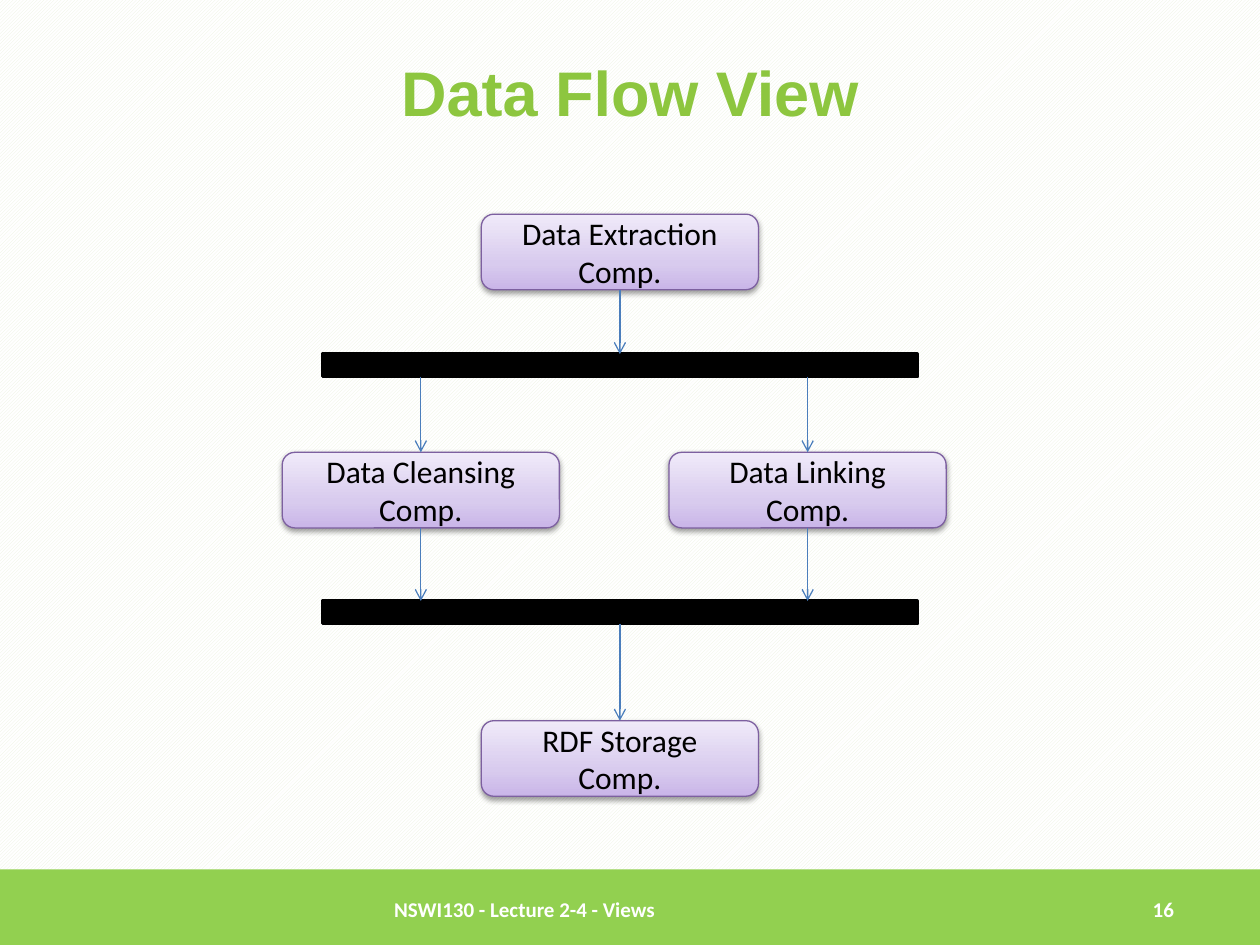
"""Builds the Data Flow View slide: components joined by fork and join bars."""
import lxml.etree
import pptx
import pptx.dml.color
import pptx.enum.dml
import pptx.enum.shapes
import pptx.enum.text
import pptx.oxml
import pptx.oxml.ns
import pptx.util

Inches = pptx.util.Inches
Pt = pptx.util.Pt
qn = pptx.oxml.ns.qn
SHAPES = pptx.enum.shapes.MSO_SHAPE
ALIGN = pptx.enum.text.PP_ALIGN

COLORS = {
    "title": "8DC63F",
    "band": "92D050",
    "pattern": "EBF1DE",
    "white": "FFFFFF",
    "black": "000000",
    "border": "7D60A0",
    "arrow": "4B7EBC",
    "bottom": "C9B5E8",
    "middle": "D8CBEE",
    "top": "F0EAF9",
}
GRADIENT = [(0, "bottom"), (35, "middle"), (100, "top")]
NAMESPACE = pptx.oxml.ns.nsdecls("a")
BOX_WIDTH, BOX_HEIGHT = 2.2, 0.6
BAR_LEFT, BAR_WIDTH, BAR_HEIGHT = 2.56, 4.72, 0.18
CENTER_X = BAR_LEFT + BAR_WIDTH / 2
TOP, LEFT, BOTTOM, RIGHT = range(4)


def rgb(name):
    return pptx.dml.color.RGBColor.from_string(COLORS[name])


def place(left, top, width, height):
    return Inches(left), Inches(top), Inches(width), Inches(height)


def write(shape, text, size, color, font="Calibri", bold=False, align=ALIGN.LEFT):
    frame = shape.text_frame
    frame.word_wrap = True
    frame.vertical_anchor = pptx.enum.text.MSO_ANCHOR.MIDDLE
    paragraph = frame.paragraphs[0]
    paragraph.text = text
    paragraph.alignment = align
    paragraph.font.name = font
    paragraph.font.size = Pt(size)
    paragraph.font.bold = bold
    paragraph.font.color.rgb = rgb(color)


def add_text(slide, position, *args, **kwargs):
    write(slide.shapes.add_textbox(*place(*position)), *args, **kwargs)


def add_rectangle(slide, position, color, line_width=0):
    rectangle = slide.shapes.add_shape(SHAPES.RECTANGLE, *place(*position))
    rectangle.shadow.inherit = False
    rectangle.fill.solid()
    rectangle.fill.fore_color.rgb = rgb(color)
    if line_width:
        rectangle.line.color.rgb = rgb(color)
        rectangle.line.width = Pt(line_width)
    else:
        rectangle.line.fill.background()
    return rectangle


def add_bar(slide, top):
    return add_rectangle(slide, (BAR_LEFT, top, BAR_WIDTH, BAR_HEIGHT), "black", 2)


def add_component(slide, left, top, text):
    component = slide.shapes.add_shape(
        SHAPES.ROUNDED_RECTANGLE, *place(left, top, BOX_WIDTH, BOX_HEIGHT))
    component.line.color.rgb = rgb("border")
    component.line.width = Pt(0.75)
    stops = "".join(
        f'<a:gs pos="{percent * 1000}"><a:srgbClr val="{COLORS[name]}"/></a:gs>'
        for percent, name in GRADIENT)
    properties = component._element.spPr
    properties.find(qn("a:prstGeom")).addnext(pptx.oxml.parse_xml(
        f'<a:gradFill {NAMESPACE} rotWithShape="1"><a:gsLst>{stops}</a:gsLst>'
        '<a:lin ang="16200000" scaled="0"/></a:gradFill>'))
    properties.append(pptx.oxml.parse_xml(
        f'<a:effectLst {NAMESPACE}><a:outerShdw blurRad="{Pt(3.1)}" dist="{Pt(1.6)}" '
        f'dir="5400000" rotWithShape="0"><a:srgbClr val="{COLORS["black"]}">'
        '<a:alpha val="38000"/></a:srgbClr></a:outerShdw></a:effectLst>'))
    write(component, text, 18, "black", align=ALIGN.CENTER)
    return component


def add_arrow(slide, x, start, end, source=None, target=None):
    arrow = slide.shapes.add_connector(
        pptx.enum.shapes.MSO_CONNECTOR.STRAIGHT, x, start, x, end)
    if source:
        arrow.begin_connect(source, BOTTOM)
    if target:
        arrow.end_connect(target, TOP)
    arrow.line.color.rgb = rgb("arrow")
    arrow.line.width = Pt(0.75)
    lxml.etree.SubElement(arrow.line._get_or_add_ln(), qn("a:tailEnd"), type="arrow")
    lxml.etree.SubElement(arrow._element.spPr, qn("a:effectLst"))


def add_flow(slide):
    center_left = CENTER_X - BOX_WIDTH / 2
    extraction = add_component(slide, center_left, 1.7, "Data Extraction Comp.")
    fork = add_bar(slide, 2.81)
    branches = [add_component(slide, left, 3.59, text) for left, text in
                [(2.24, "Data Cleansing Comp."), (5.31, "Data Linking Comp.")]]
    join = add_bar(slide, 4.77)
    storage = add_component(slide, center_left, 5.72, "RDF Storage Comp.")

    for source, target in [(extraction, fork), (join, storage)]:
        add_arrow(slide, Inches(CENTER_X), source.top + source.height, target.top,
                  source, target)
    for branch in branches:
        x = branch.left + branch.width // 2
        add_arrow(slide, x, fork.top + fork.height, branch.top, target=branch)
        add_arrow(slide, x, branch.top + branch.height, join.top, source=branch)


def set_background(slide):
    fill = slide.background.fill
    fill.patterned()
    fill.pattern = pptx.enum.dml.MSO_PATTERN.LIGHT_UPWARD_DIAGONAL
    fill.fore_color.rgb = rgb("pattern")
    fill.back_color.rgb = rgb("white")


def main():
    presentation = pptx.Presentation()
    presentation.slide_width = Inches(10)
    presentation.slide_height = Inches(7.5)
    slide = presentation.slides.add_slide(presentation.slide_layouts[6])
    set_background(slide)
    add_rectangle(slide, (0, 6.9, 10, 0.63), "band")
    add_text(slide, (0.5, 0.3, 9, 0.85), "Data Flow View", 36, "title",
             font="Arial", bold=True, align=ALIGN.CENTER)
    add_text(slide, (3.03, 6.9, 6.02, 0.63), "NSWI130 - Lecture 2-4 - Views",
             12, "white", bold=True)
    add_text(slide, (9.05, 6.9, 0.83, 0.63), "16", 12, "white", bold=True)
    add_flow(slide)
    presentation.save("out.pptx")


if __name__ == "__main__":
    main()
